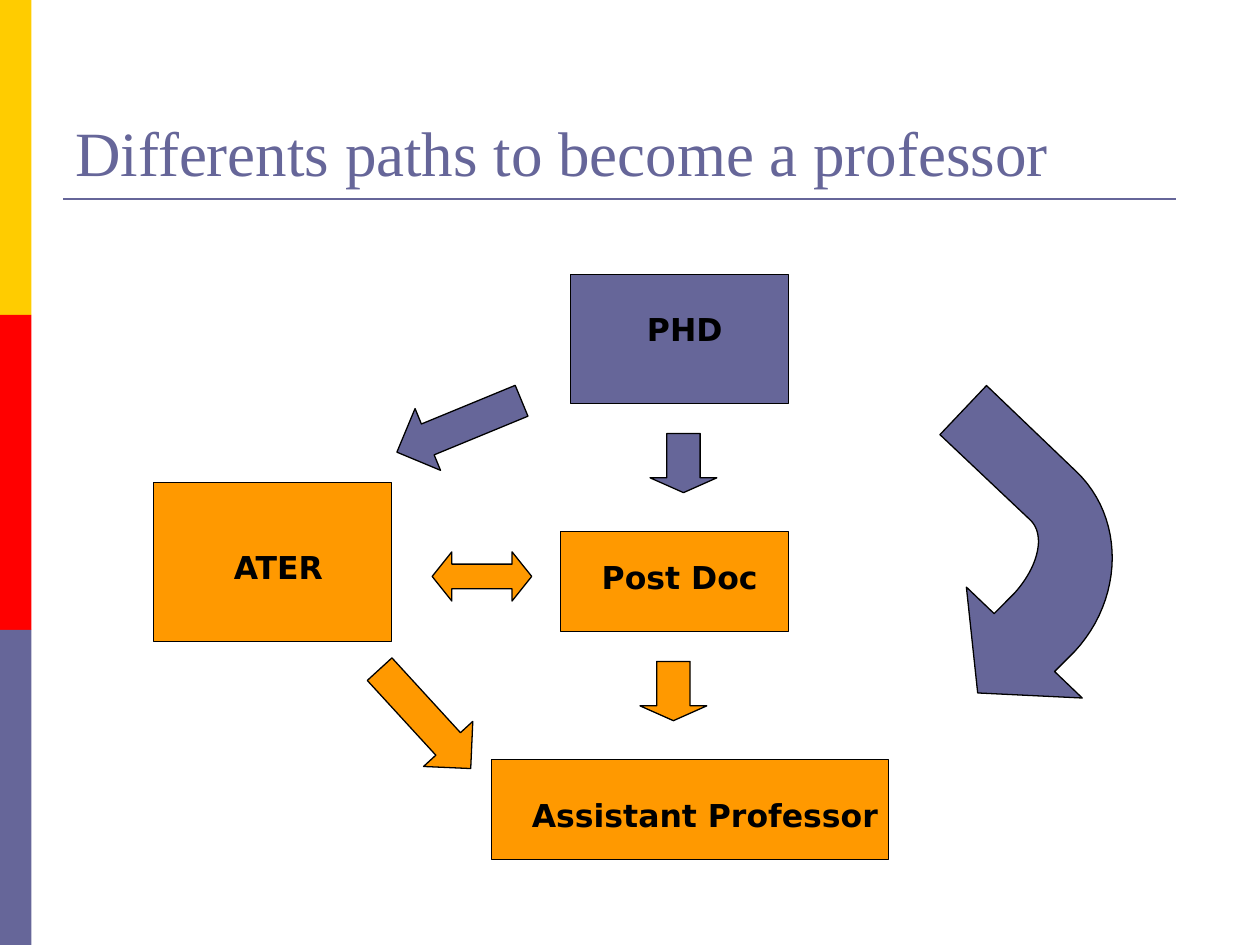
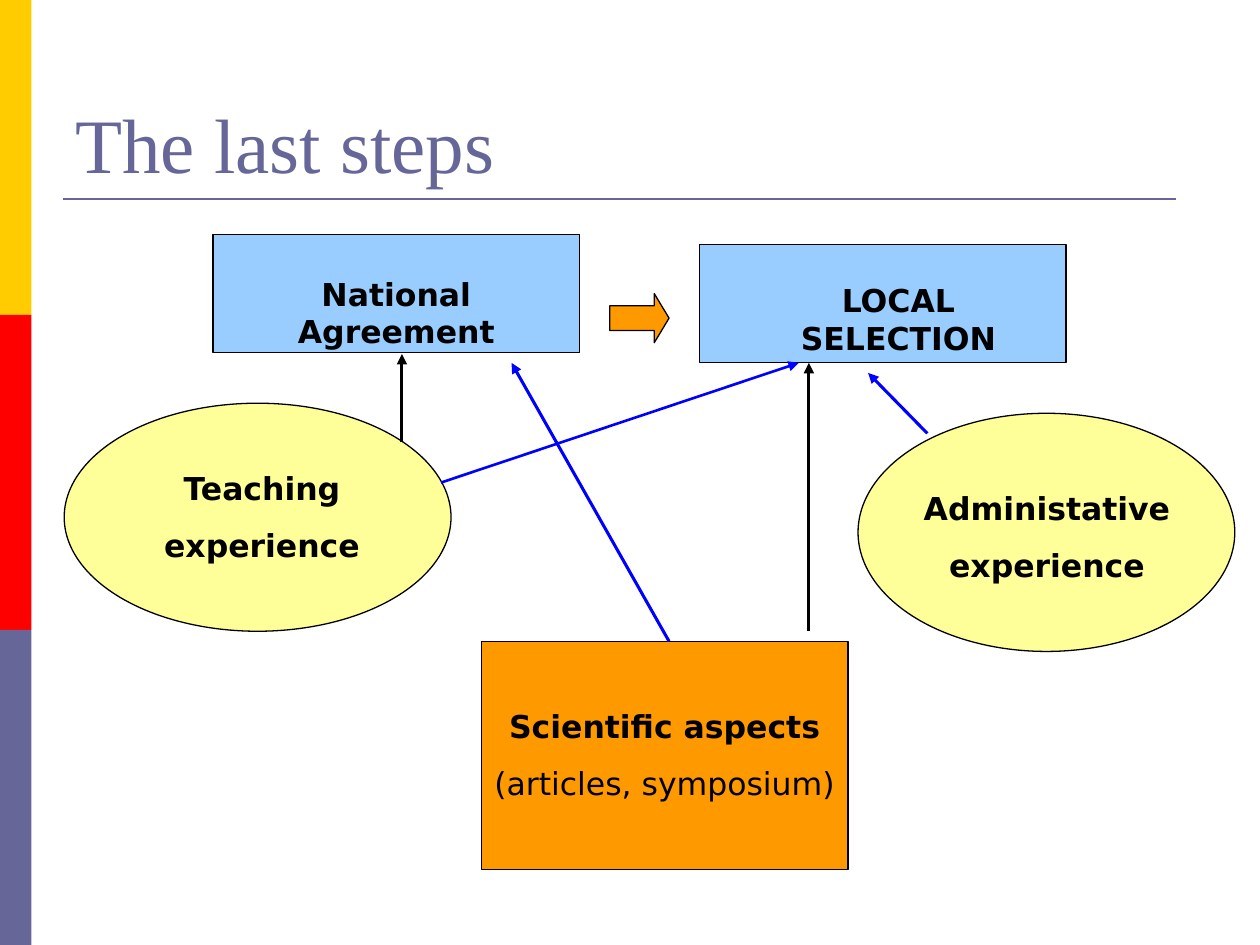
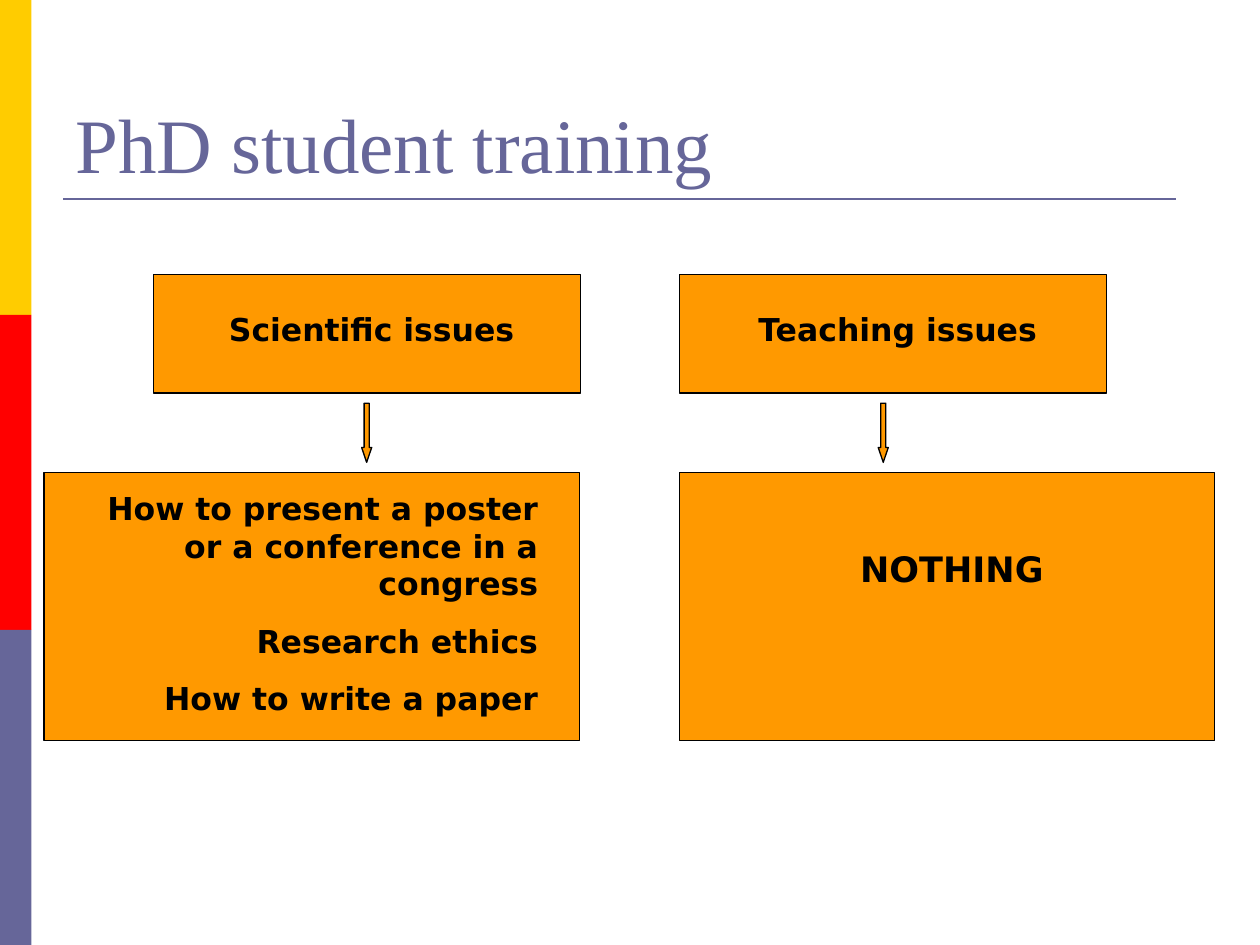
import pptx
import pptx.dml.color
import pptx.enum.shapes
import pptx.enum.text
import pptx.oxml.xmlchemy
import pptx.util
from pptx.util import Inches

PRESET = pptx.enum.shapes.MSO_SHAPE
ALIGN = pptx.enum.text.PP_ALIGN
ANCHOR = pptx.enum.text.MSO_ANCHOR

SLATE, ORANGE, SKY, CREAM = "666699", "FF9900", "99CCFF", "FFFF99"
BLACK, BLUE = "000000", "0000FF"
BANDS = ["FFCC00", "FF0000", SLATE]
BAND_WIDTH, BAND_HEIGHT = 0.25, 2.5
TITLE_FRAME = (0.5, 0.3, 9, 1.25)
TITLE_FONT, BODY_FONT = "Times New Roman", "DejaVu Sans"
RECTANGLE, ELLIPSE, DOWN = PRESET.RECTANGLE, PRESET.OVAL, PRESET.DOWN_ARROW

# Shapes: preset, frame, fill, then optionally rotation and arrowhead length
# Labels: frame, paragraphs, then optionally alignment and size
# Lines: start, end, colour, width
SLIDES = [
    {
        "title": ("Differents paths to become a professor", 36),
        "shapes": [
            (RECTANGLE, (4.53, 2.18, 1.73, 1.02), SLATE),
            (RECTANGLE, (3.9, 6.03, 3.15, 0.79), ORANGE),
            (RECTANGLE, (1.22, 3.83, 1.89, 1.26), ORANGE),
            (DOWN, (3.38, 2.85, 0.53, 1.07), SLATE, 67.6, 0.5),
            (DOWN, (3.11, 5.17, 0.53, 1.07), ORANGE, 317.5, 0.5),
            (RECTANGLE, (4.45, 4.22, 1.81, 0.79), ORANGE),
            (DOWN, (5.16, 3.44, 0.53, 0.47), SLATE, 0, 0.25),
            (DOWN, (5.08, 5.25, 0.53, 0.47), ORANGE, 0, 0.25),
            (PRESET.LEFT_RIGHT_ARROW, (3.43, 4.38, 0.79, 0.39), ORANGE, 0, 0.4),
        ],
        "labels": [
            ((3.9, 2.41, 3.07, 0.4), ["PHD"]),
            ((3.9, 6.27, 3.39, 0.4), ["Assistant Professor"]),
            ((1.46, 4.3, 1.5, 0.4), ["ATER"]),
            ((4.61, 4.38, 1.57, 0.4), ["Post Doc"]),
        ],
    },
    {
        "title": ("The last steps", 44),
        "shapes": [
            (RECTANGLE, (5.55, 1.94, 2.91, 0.94), SKY),
            (RECTANGLE, (3.82, 5.09, 2.91, 1.81), ORANGE),
            (ELLIPSE, (0.51, 3.2, 3.07, 1.81), CREAM),
            (ELLIPSE, (6.81, 3.28, 2.99, 1.89), CREAM),
            (RECTANGLE, (1.69, 1.86, 2.91, 0.94), SKY),
            (PRESET.RIGHT_ARROW, (4.84, 2.33, 0.47, 0.39), ORANGE, 0, 0.3),
        ],
        "labels": [
            ((5.87, 2.18, 2.52, 0.4), ["LOCAL SELECTION"]),
            ((3.82, 5.56, 2.91, 0.86), ["Scientific aspects", "(articles, symposium)"]),
            ((0.9, 3.67, 2.36, 0.86), ["Teaching", "experience"]),
            ((7.13, 3.83, 2.36, 0.86), ["Administative", "experience"]),
            ((1.64, 2.13, 3.01, 0.4), ["National Agreement"]),
        ],
        "plain": ["(articles, symposium)"],
        "lines": [
            ((3.19, 3.51), (3.19, 2.81), BLACK, 1.75),
            ((6.42, 5.01), (6.42, 2.88), BLACK, 1.75),
            ((7.36, 3.44), (6.89, 2.96), BLUE, 1.75),
            ((3.5, 3.83), (6.34, 2.88), BLUE, 1.5),
            ((5.31, 5.09), (4.06, 2.88), BLUE, 1.75),
        ],
    },
    {
        "title": ("PhD student training", 44),
        "shapes": [
            (RECTANGLE, (1.22, 2.18, 3.39, 0.94), ORANGE),
            (RECTANGLE, (5.39, 2.18, 3.39, 0.94), ORANGE),
            (RECTANGLE, (0.35, 3.75, 4.25, 2.13), ORANGE),
            (DOWN, (2.87, 3.2, 0.08, 0.47), ORANGE, 0, 1.48),
            (RECTANGLE, (5.39, 3.75, 4.25, 2.13), ORANGE),
            (DOWN, (6.97, 3.2, 0.08, 0.47), ORANGE, 0, 1.48),
        ],
        "labels": [
            ((1.53, 2.41, 2.84, 0.4), ["Scientific issues"]),
            ((5.63, 2.41, 2.99, 0.4), ["Teaching issues"]),
            ((0.51, 3.83, 3.86, 2.53), [
                "How to present a poster or a conference in a congress",
                "Research ethics",
                "How to write a paper",
            ], ALIGN.RIGHT),
            ((5.94, 4.3, 3.23, 0.44), ["NOTHING"], ALIGN.CENTER, 20),
        ],
    },
]

# Each step of the bent arrow is one corner, or two control points and an end.
BENT_ARROW_START = (7.83, 3.06)
BENT_ARROW_STEPS = [
    [(8.54, 3.74)],
    [(8.93, 4.11), (8.92, 4.75), (8.53, 5.17)],
    [(8.37, 5.33)], [(8.59, 5.54)], [(7.76, 5.5)],
    [(7.67, 4.66)], [(7.89, 4.87)], [(8.05, 4.71)],
    [(8.24, 4.5), (8.3, 4.25), (8.18, 4.13)],
    [(7.46, 3.45)],
]
CURVE_PIECES = 24


def rgb(colour):
    return pptx.dml.color.RGBColor.from_string(colour)


def inches(values):
    return [Inches(value) for value in values]


def paint(shape, fill, outline=BLACK):
    shape.shadow.inherit = False
    shape.fill.solid()
    shape.fill.fore_color.rgb = rgb(fill)
    if outline:
        shape.line.color.rgb = rgb(outline)
        shape.line.width = pptx.util.Pt(0.75)
    else:
        shape.line.fill.background()


def add_preset(slide, preset, frame, fill, rotation=0, head=None, outline=BLACK):
    shape = slide.shapes.add_shape(preset, *inches(frame))
    shape.rotation = rotation
    if head is not None:
        shape.adjustments[0] = 0.5
        shape.adjustments[1] = head
    paint(shape, fill, outline)


def add_text(slide, frame, texts, font, size, colour, alignment, bold=False, plain=()):
    text_frame = slide.shapes.add_textbox(*inches(frame)).text_frame
    text_frame.word_wrap = True
    text_frame.text = "\n".join(texts)
    for paragraph in text_frame.paragraphs:
        paragraph.alignment = alignment
        paragraph.font.name = font
        paragraph.font.size = pptx.util.Pt(size)
        paragraph.font.color.rgb = rgb(colour)
        paragraph.font.bold = bold and paragraph.text not in plain
    return text_frame


def add_label(slide, frame, texts, alignment=ALIGN.CENTER, size=18, plain=()):
    text_frame = add_text(slide, frame, texts, BODY_FONT, size, BLACK, alignment, True, plain)
    for paragraph in text_frame.paragraphs:
        paragraph.space_before = pptx.util.Pt(round(size * 0.625, 1))


def add_line(slide, start, end, colour, width, arrow=True):
    connector = slide.shapes.add_connector(
        pptx.enum.shapes.MSO_CONNECTOR.STRAIGHT, *inches(start + end))
    connector.line.color.rgb = rgb(colour)
    connector.line.width = pptx.util.Pt(width)
    properties = connector._element.spPr
    if arrow:
        tail = pptx.oxml.xmlchemy.OxmlElement("a:tailEnd")
        tail.set("type", "triangle")
        properties.get_or_add_ln().append(tail)
    properties.append(pptx.oxml.xmlchemy.OxmlElement("a:effectLst"))


def curve_points(start, first, second, end):
    """Points along a cubic Bezier curve, without its start."""
    points = []
    for piece in range(1, CURVE_PIECES + 1):
        t = piece / CURVE_PIECES
        weights = ((1 - t) ** 3, 3 * t * (1 - t) ** 2, 3 * t * t * (1 - t), t ** 3)
        points.append(tuple(
            sum(weight * value for weight, value in zip(weights, values))
            for values in zip(start, first, second, end)))
    return points


def add_bent_arrow(slide):
    points = [BENT_ARROW_START]
    for step in BENT_ARROW_STEPS:
        points += curve_points(points[-1], *step) if len(step) == 3 else step
    corners = [inches(point) for point in points]
    builder = slide.shapes.build_freeform(*corners[0])
    builder.add_line_segments(corners[1:], close=True)
    paint(builder.convert_to_shape(), SLATE)


def add_base_slide(presentation, title, size):
    slide = presentation.slides.add_slide(presentation.slide_layouts[6])
    for index, colour in enumerate(BANDS):
        frame = (0, index * BAND_HEIGHT, BAND_WIDTH, BAND_HEIGHT)
        add_preset(slide, RECTANGLE, frame, colour, outline=None)
    add_line(slide, (0.5, 1.58), (9.33, 1.58), SLATE, 1.5, arrow=False)
    text_frame = add_text(slide, TITLE_FRAME, [title], TITLE_FONT, size, SLATE, ALIGN.LEFT)
    text_frame.vertical_anchor = ANCHOR.BOTTOM
    return slide


def main():
    presentation = pptx.Presentation()
    presentation.slide_width, presentation.slide_height = inches((10, 7.5))
    for content in SLIDES:
        slide = add_base_slide(presentation, *content["title"])
        for shape in content["shapes"]:
            add_preset(slide, *shape)
        for label in content["labels"]:
            add_label(slide, *label, plain=content.get("plain", ()))
        for line in content.get("lines", []):
            add_line(slide, *line)
    add_bent_arrow(presentation.slides[0])
    presentation.save("out.pptx")


if __name__ == "__main__":
    main()
